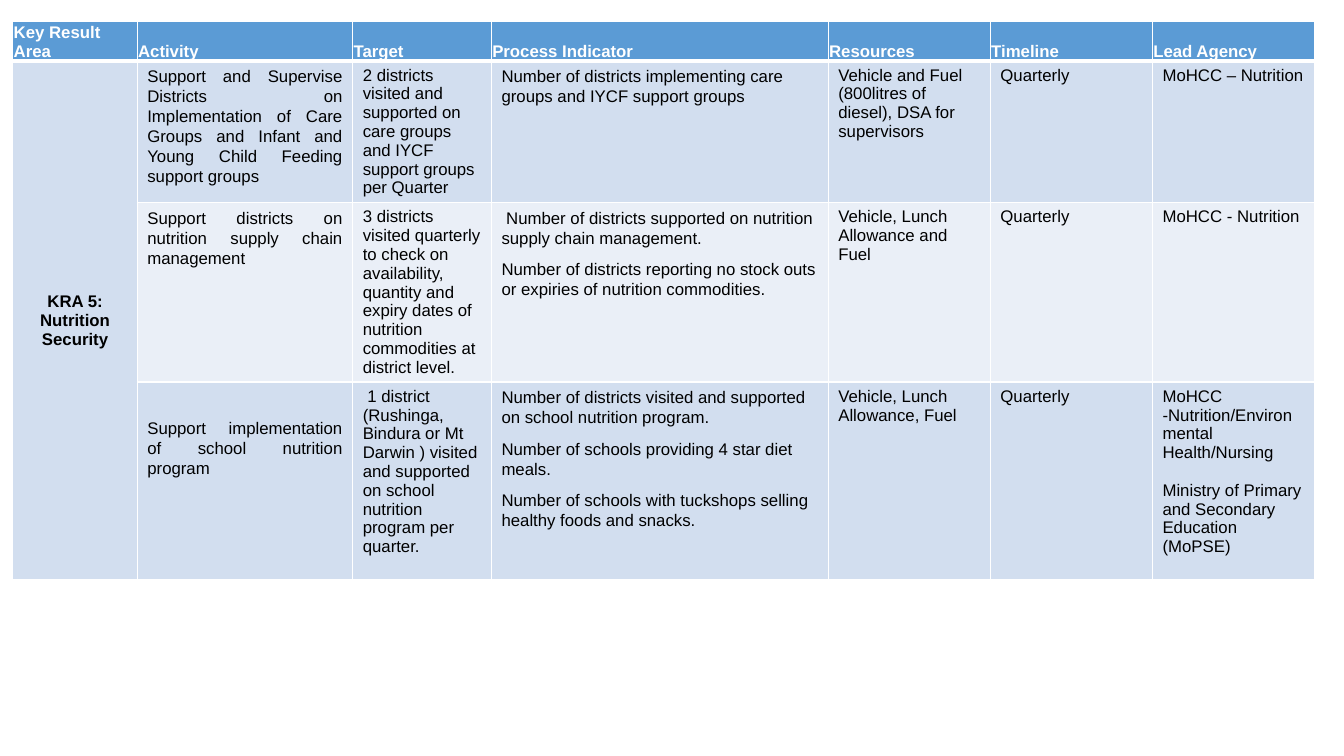
"""Build a slide with the nutrition security work plan table."""
from lxml import etree
from pptx import Presentation
from pptx.dml import color
from pptx.enum import text
from pptx.oxml import ns
from pptx.util import Pt

COLUMN_WIDTHS = [88.85, 153.9, 99.1, 240.6, 115.8, 115.8, 115.8]
ROW_HEIGHTS = [28, 101, 128.2, 141.4]
HEADINGS = ["Key Result Area", "Activity", "Target", "Process Indicator",
            "Resources", "Timeline", "Lead Agency"]
KEY_RESULT_AREA = ["KRA 5:", "Nutrition Security"]
ACTIVITIES = [
    [["Support and Supervise Districts on Implementation of Care Groups and "
      "Infant and Young Child Feeding support groups"],
     ["2 districts visited and supported on care groups and IYCF support groups per Quarter"],
     ["Number of districts implementing care groups and IYCF support groups"],
     ["Vehicle and Fuel (800litres of diesel), DSA for supervisors"],
     ["Quarterly"],
     ["MoHCC – Nutrition"]],
    [["Support districts on nutrition supply chain management"],
     ["3 districts visited quarterly to check on availability, quantity and "
      "expiry dates of nutrition commodities at district level."],
     [" Number of districts supported on nutrition supply chain management.",
      "Number of districts reporting no stock outs or expiries of nutrition commodities."],
     ["Vehicle, Lunch Allowance and Fuel"],
     ["Quarterly"],
     ["MoHCC - Nutrition"]],
    [["Support implementation of school nutrition program"],
     [" 1 district (Rushinga, Bindura or Mt Darwin ) visited and supported on "
      "school nutrition program per quarter."],
     ["Number of districts visited and supported on school nutrition program.",
      "Number of schools providing 4 star diet meals.",
      "Number of schools with tuckshops selling healthy foods and snacks."],
     ["Vehicle, Lunch Allowance, Fuel"],
     ["Quarterly"],
     ["MoHCC -Nutrition/Environmental Health/Nursing",
      "Ministry of Primary and Secondary Education (MoPSE)"]],
]
SPACED = {"line_spacing": 1.07, "space_after": 8}
COLUMN_FORMATS = {1: {"align": text.PP_ALIGN.JUSTIFY, **SPACED}, 3: SPACED,
                  6: {"space_between": 13.4}}


def rgb(value):
    return color.RGBColor.from_string(value)


def write_text(frame, lines, font="Arial", size=12, ink="000000", bold=False,
               align=text.PP_ALIGN.LEFT, line_spacing=1.0, space_after=0, space_between=0):
    for index, line in enumerate(lines):
        paragraph = frame.add_paragraph() if index else frame.paragraphs[0]
        paragraph.alignment = align
        paragraph.line_spacing = line_spacing
        paragraph.space_before = Pt(space_between if index else 0)
        paragraph.space_after = Pt(space_after)
        run = paragraph.add_run()
        run.text = line
        run.font.name = font
        run.font.size = Pt(size)
        run.font.bold = bold
        run.font.color.rgb = rgb(ink)


class PlanSlide:
    header_fill = "5B9BD5"
    band_fills = ["D2DEEF", "EAEFF7"]
    border = "FFFFFF"
    thin, thick = 1, 3

    def __init__(self, presentation):
        self.slide = presentation.slides.add_slide(presentation.slide_layouts[6])

    def add_table(self, left, top, widths, heights):
        shape = self.slide.shapes.add_table(len(heights), len(widths), Pt(left), Pt(top),
                                            Pt(sum(widths)), Pt(sum(heights)))
        table = shape.table
        table.horz_banding = False
        for column, width in zip(table.columns, widths):
            column.width = Pt(width)
        for row, height in zip(table.rows, heights):
            row.height = Pt(height)
        for row in range(len(heights)):
            for column in range(len(widths)):
                self.style_cell(table.cell(row, column), row)
        return table

    def style_cell(self, cell, row):
        properties = cell._tc.get_or_add_tcPr()
        weights = {"lnL": self.thin, "lnR": self.thin,
                   "lnT": self.thick if row == 1 else self.thin,
                   "lnB": self.thick if row == 0 else self.thin}
        for side, weight in weights.items():
            line = etree.SubElement(properties, ns.qn(f"a:{side}"), w=str(Pt(weight)))
            fill = etree.SubElement(line, ns.qn("a:solidFill"))
            etree.SubElement(fill, ns.qn("a:srgbClr"), val=self.border)
        cell.fill.solid()
        cell.fill.fore_color.rgb = rgb(self.band_fills[(row - 1) % 2] if row else self.header_fill)

    def fill_label(self, cell, lines, anchor, **style):
        cell.margin_left = cell.margin_right = cell.margin_top = Pt(0.6)
        cell.margin_bottom = Pt(0)
        cell.vertical_anchor = anchor
        write_text(cell.text_frame, lines, bold=True, **style)


def main():
    presentation = Presentation()
    presentation.slide_width, presentation.slide_height = Pt(960), Pt(540)
    plan = PlanSlide(presentation)
    table = plan.add_table(9.2, 15.4, COLUMN_WIDTHS, ROW_HEIGHTS)
    for column, heading in enumerate(HEADINGS):
        plan.fill_label(table.cell(0, column), [heading], text.MSO_ANCHOR.BOTTOM, ink="FFFFFF")
    area = table.cell(1, 0)
    area.merge(table.cell(3, 0))
    plan.fill_label(area, KEY_RESULT_AREA, text.MSO_ANCHOR.MIDDLE, align=text.PP_ALIGN.CENTER)
    for row, activity in enumerate(ACTIVITIES, 1):
        for column, lines in enumerate(activity, 1):
            write_text(table.cell(row, column).text_frame, lines, **COLUMN_FORMATS.get(column, {}))
    table.cell(3, 1).margin_top = Pt(25.5)
    presentation.save("out.pptx")


if __name__ == "__main__":
    main()
